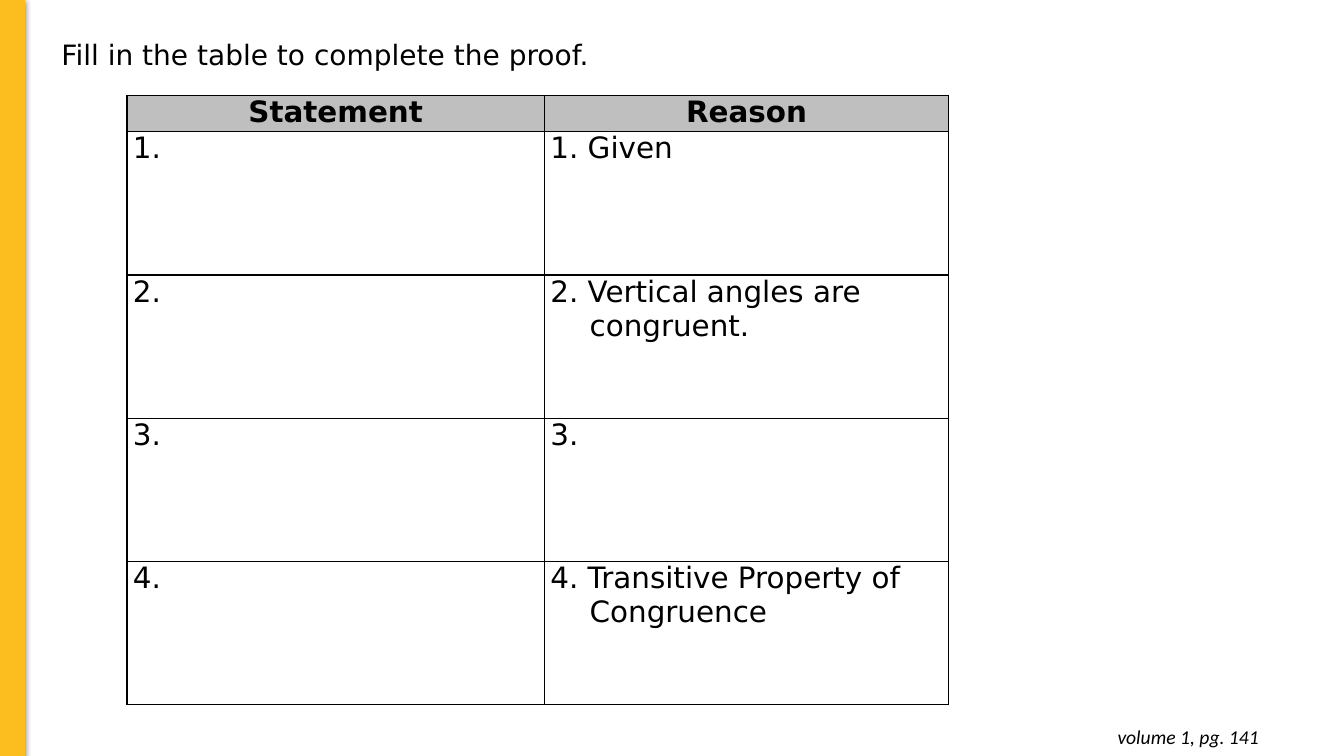
import pptx
import pptx.util
import pptx.dml.color
import pptx.enum.shapes
import pptx.enum.text
from lxml import etree
from pptx.util import Cm, Pt

RGB = pptx.dml.color.RGBColor
ALIGN = pptx.enum.text.PP_ALIGN
BLACK = RGB(0x00, 0x00, 0x00)
GOLD = RGB(0xFC, 0xBD, 0x1E)
GRAY = RGB(0xBF, 0xBF, 0xBF)
NS = "http://schemas.openxmlformats.org/drawingml/2006/main"

TASK = "Fill in the table to complete the proof."
NOTE = "volume 1, pg. 141"
PROOF = [
    ("Statement", "Reason"),
    ("1.", "1. Given"),
    ("2.", "2. Vertical angles are congruent."),
    ("3.", "3."),
    ("4.", "4. Transitive Property of Congruence"),
]
WIDTHS = (10.52, 10.19)
HEAD, ROW = 0.91, 3.61
HANG = Cm(0.99)


def style(para, size, name="DejaVu Sans", bold=False, italic=False):
    font = para.runs[0].font
    font.size, font.name = Pt(size), name
    font.bold, font.italic = bold, italic
    font.color.rgb = BLACK


def label(slide, text, left, top, width, height):
    """Add a wrapping text box and return its frame."""
    box = slide.shapes.add_textbox(Cm(left), Cm(top), Cm(width), Cm(height))
    frame = box.text_frame
    frame.word_wrap = True
    frame.text = text
    return frame


def border(cell):
    """Draw a thin black line on all four sides of the cell."""
    props = cell._tc.get_or_add_tcPr()
    for side in ("lnL", "lnR", "lnT", "lnB"):
        props.append(etree.fromstring(
            f'<a:{side} xmlns:a="{NS}" w="{Pt(1)}"><a:solidFill>'
            f'<a:srgbClr val="{BLACK}"/></a:solidFill></a:{side}>'))


def shade(shape):
    """Give the shape a soft shadow falling downwards."""
    shape.shadow.inherit = False
    effects = shape._element.spPr.find(f"{{{NS}}}effectLst")
    effects.append(etree.fromstring(
        f'<a:outerShdw xmlns:a="{NS}" blurRad="{Pt(4.5)}" dist="{Pt(1.5)}" '
        f'dir="5400000" rotWithShape="0"><a:srgbClr val="{BLACK}">'
        '<a:alpha val="50000"/></a:srgbClr></a:outerShdw>'))


def fill_cell(cell, text, head):
    border(cell)
    if head:
        cell.fill.solid()
        cell.fill.fore_color.rgb = GRAY
    else:
        cell.fill.background()
    cell.margin_left = cell.margin_right = Cm(0.15)
    cell.margin_top = cell.margin_bottom = 0
    cell.text = text
    para = cell.text_frame.paragraphs[0]
    para.alignment = ALIGN.CENTER if head else ALIGN.LEFT
    if len(text) > 10:
        props = para._p.get_or_add_pPr()
        props.set("marL", str(HANG))
        props.set("indent", str(-HANG))
    style(para, 21, bold=head)


def add_proof(slide):
    high = HEAD + ROW * (len(PROOF) - 1)
    table = slide.shapes.add_table(
        len(PROOF), len(WIDTHS), Cm(3.2), Cm(2.41),
        Cm(sum(WIDTHS)), Cm(high)).table
    table.horz_banding = False
    for col, width in zip(table.columns, WIDTHS):
        col.width = Cm(width)
    for r, texts in enumerate(PROOF):
        table.rows[r].height = Cm(ROW if r else HEAD)
        for c, text in enumerate(texts):
            fill_cell(table.cell(r, c), text, r == 0)


def main():
    deck = pptx.Presentation()
    deck.slide_width, deck.slide_height = Cm(33.87), Cm(19.05)
    slide = deck.slides.add_slide(deck.slide_layouts[6])

    note = label(slide, NOTE, 24.66, 18.01, 7.32, 1.12)
    note.margin_left = note.margin_right = Cm(0.25)
    note.margin_top = note.margin_bottom = Cm(0.25)
    note.paragraphs[0].alignment = ALIGN.RIGHT
    style(note.paragraphs[0], 14, "Calibri", italic=True)

    task = label(slide, TASK, 1.3, 0.81, 23.14, 1.12)
    style(task.paragraphs[0], 20)

    bar = slide.shapes.add_shape(
        pptx.enum.shapes.MSO_SHAPE.RECTANGLE,
        0, Cm(-0.03), Cm(0.61), Cm(19.08))
    bar.fill.solid()
    bar.fill.fore_color.rgb = GOLD
    bar.line.color.rgb = GOLD
    bar.line.width = Pt(0.75)
    shade(bar)

    add_proof(slide)
    deck.save("out.pptx")


if __name__ == "__main__":
    main()
